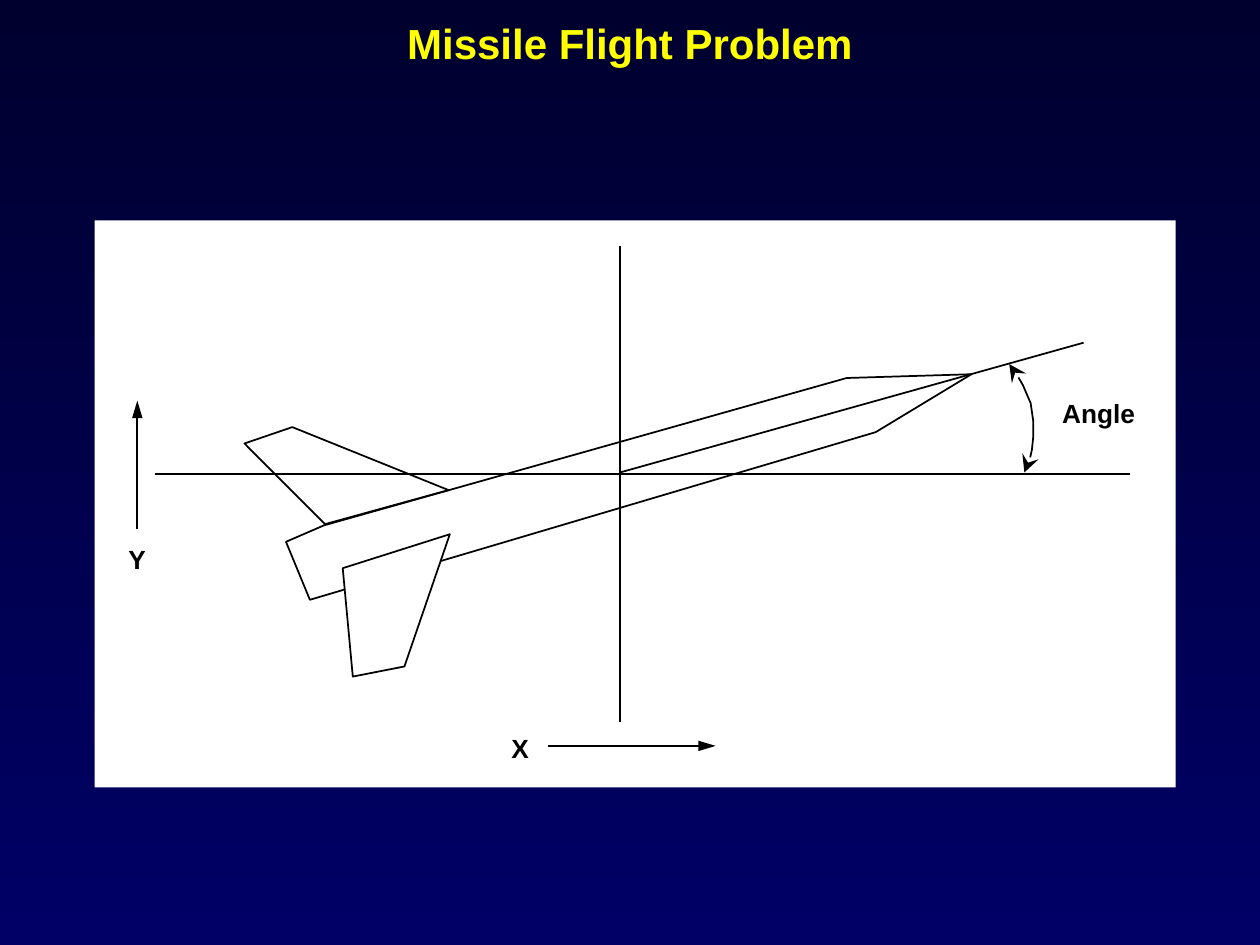
from lxml import etree
from pptx import Presentation
from pptx.dml.color import RGBColor
from pptx.enum.shapes import MSO_CONNECTOR, MSO_SHAPE
from pptx.enum.text import MSO_ANCHOR, MSO_AUTO_SIZE, PP_ALIGN
from pptx.oxml.ns import qn
from pptx.util import Inches, Pt

STRAIGHT = MSO_CONNECTOR.STRAIGHT
RECTANGLE = MSO_SHAPE.RECTANGLE
MIDDLE = MSO_ANCHOR.MIDDLE
CENTER = PP_ALIGN.CENTER
GROW = MSO_AUTO_SIZE.SHAPE_TO_FIT_TEXT

BLACK, WHITE, YELLOW = "000000", "FFFFFF", "FFFF00"
TITLE_ONLY = 5


def rgb(value):
    return RGBColor.from_string(value)


class Diagram:
    font = "Arial"
    label_size = 15
    line_width = 1

    def __init__(self, prs):
        self.s = prs.slides.add_slide(prs.slide_layouts[TITLE_ONLY])
        self.shapes = self.s.shapes

    def background(self, top, bottom):
        fill = self.s.background.fill
        fill.gradient()
        fill.gradient_angle = 270
        for stop, position, color in zip(fill.gradient_stops, (0, 1), (top, bottom)):
            stop.position = position
            stop.color.rgb = rgb(color)

    def style_text(self, p, size, color):
        for r in p.runs:
            r.font.name = self.font
            r.font.size = Pt(size)
            r.font.bold = True
            r.font.color.rgb = rgb(color)

    def title(self, text, width, height):
        sp = self.s.shapes.title
        sp.left, sp.top, sp.width, sp.height = 0, 0, Inches(width), Inches(height)
        tf = sp.text_frame
        tf.text = text
        tf.vertical_anchor = MIDDLE
        p = tf.paragraphs[0]
        p.alignment = CENTER
        self.style_text(p, 24, YELLOW)

    def start_group(self):
        self.shapes = self.s.shapes.add_group_shape().shapes

    def panel(self, left, top, width, height):
        sp = self.shapes.add_shape(RECTANGLE, *map(Inches, (left, top, width, height)))
        sp.shadow.inherit = False
        sp.fill.solid()
        sp.fill.fore_color.rgb = rgb(WHITE)
        sp.line.fill.background()

    def style_line(self, line):
        line.color.rgb = rgb(BLACK)
        line.width = Pt(self.line_width)

    def arrowhead(self, sp, end, kind, width):
        ln = sp.line._get_or_add_ln()
        etree.SubElement(ln, qn(f"a:{end}"), type=kind, w=width, len="lg")

    def line(self, start, end, arrow=False):
        sp = self.shapes.add_connector(STRAIGHT, *map(Inches, (*start, *end)))
        etree.SubElement(sp._element.spPr, qn("a:effectLst"))
        self.style_line(sp.line)
        if arrow:
            self.arrowhead(sp, "tailEnd", "triangle", "med")

    def outline(self, points, fill=None, close=True):
        first, *rest = [tuple(map(Inches, point)) for point in points]
        builder = self.shapes.build_freeform(*first)
        builder.add_line_segments(rest, close=close)
        sp = builder.convert_to_shape()
        sp.shadow.inherit = False
        if fill:
            sp.fill.solid()
            sp.fill.fore_color.rgb = rgb(fill)
        else:
            sp.fill.background()
        self.style_line(sp.line)
        return sp

    def double_arrow_curve(self, points):
        sp = self.outline(points, close=False)
        for end in ("headEnd", "tailEnd"):
            self.arrowhead(sp, end, "stealth", "lg")

    def label(self, text, left, top, width):
        sp = self.shapes.add_textbox(*map(Inches, (left, top, width, 0.25)))
        tf = sp.text_frame
        tf.margin_left = tf.margin_top = tf.margin_right = tf.margin_bottom = 0
        tf.word_wrap = False
        tf.auto_size = GROW
        tf.text = text
        self.style_text(tf.paragraphs[0], self.label_size, BLACK)


def main():
    prs = Presentation()
    prs.slide_width, prs.slide_height = Inches(10), Inches(7.5)

    d = Diagram(prs)
    d.background("00002F", "000066")
    d.title("Missile Flight Problem", 10, 0.67)
    d.start_group()
    d.panel(0.75, 1.75, 8.58, 4.5)

    upper_fin = [(2.58, 4.16), (3.56, 3.89), (2.32, 3.39), (1.94, 3.52)]
    body = [(2.27, 4.3), (2.57, 4.17), (6.72, 3), (7.71, 2.97), (6.95, 3.43), (2.46, 4.76)]
    lower_fin = [(2.72, 4.51), (3.57, 4.24), (3.21, 5.29), (2.8, 5.37)]
    d.outline(upper_fin, WHITE)
    d.outline(body)

    d.line((1.23, 3.76), (8.97, 3.76))
    d.line((4.92, 1.95), (4.92, 5.73))
    d.line((4.92, 3.75), (8.6, 2.72))

    d.line((4.35, 5.92), (5.68, 5.92), arrow=True)
    d.label("X", 4.06, 5.81, 0.14)
    d.line((1.09, 4.2), (1.09, 3.18), arrow=True)
    d.label("Y", 1.02, 4.31, 0.14)
    d.label("Angle", 8.43, 3.15, 0.58)

    d.outline(lower_fin, WHITE)
    d.double_arrow_curve([
        (8.01, 2.89), (8.08, 2.99), (8.12, 3.06), (8.15, 3.13), (8.18, 3.2),
        (8.2, 3.34), (8.2, 3.47), (8.19, 3.57), (8.17, 3.66), (8.13, 3.75),
    ])

    prs.save("out.pptx")


if __name__ == "__main__":
    main()
